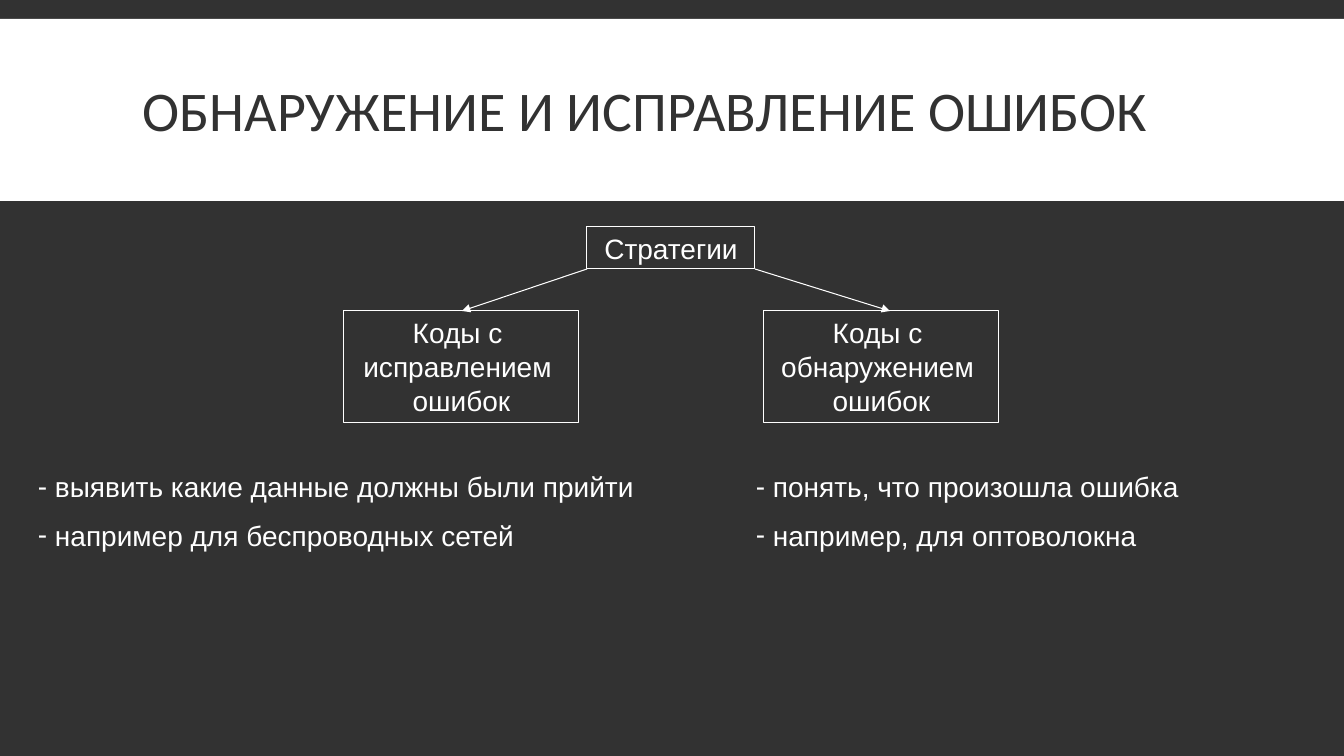
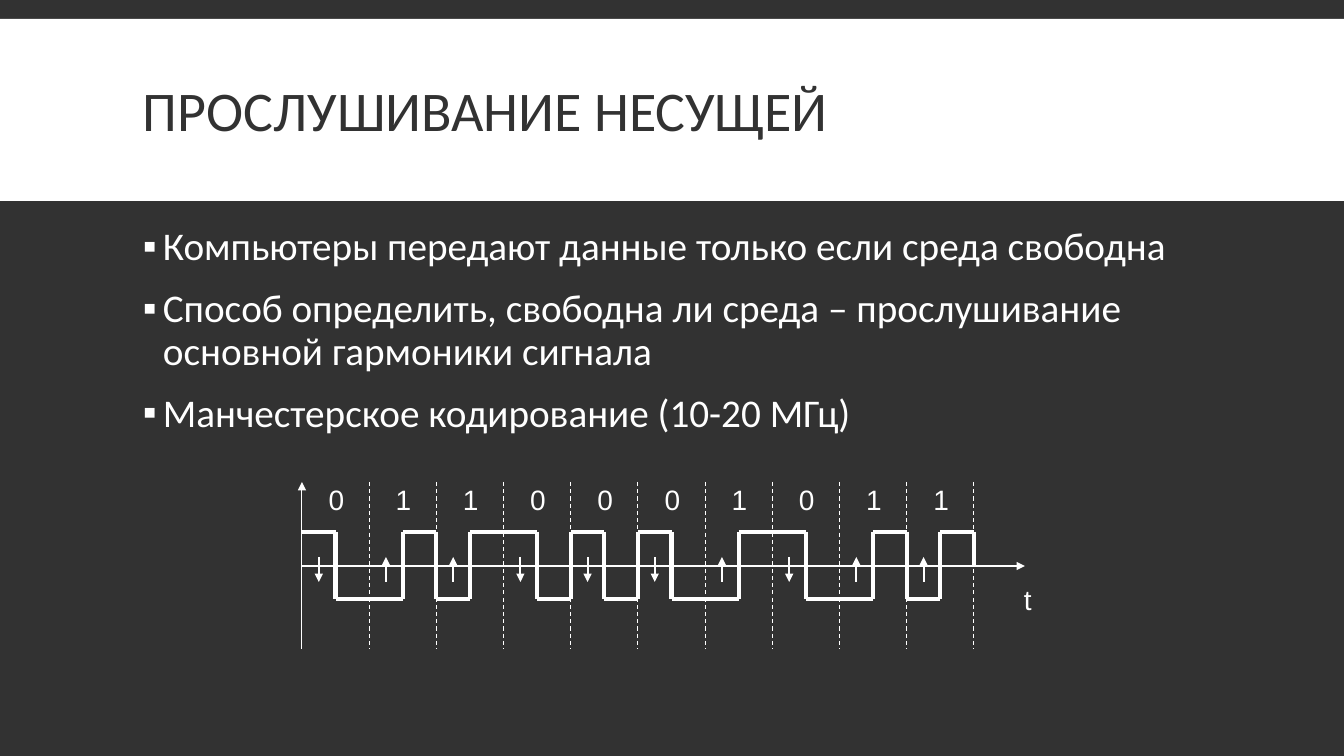
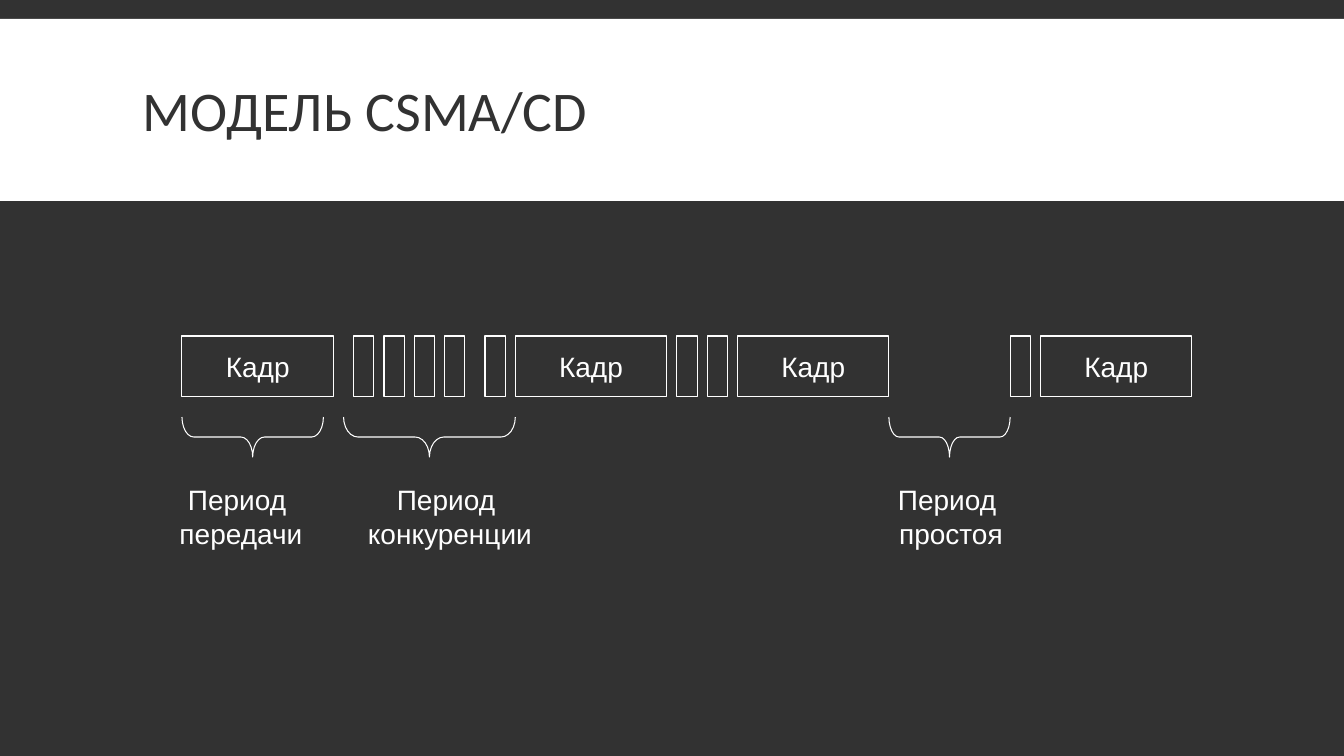
from itertools import pairwise

from lxml.etree import SubElement
from pptx import Presentation
from pptx.dml.color import RGBColor
from pptx.enum.dml import MSO_LINE
from pptx.enum.shapes import MSO_CONNECTOR, MSO_SHAPE
from pptx.enum.text import MSO_ANCHOR, PP_ALIGN
from pptx.oxml.ns import qn
from pptx.util import Emu, Pt

# Shared style
PX = 914400 / 100.8
WIDTH, HEIGHT = 1344, 756
DARK, WHITE = "323232", "FFFFFF"
BAND = (0, 19, WIDTH, 182)
TITLE_AREA = (133, 31, 1079, 166)
HEADING_FONT, DIAGRAM_FONT = "Calibri", "Arial"

# Slide 1: strategies, boxes as text, area, anchor
STRATEGIES_TITLE = "ОБНАРУЖЕНИЕ И ИСПРАВЛЕНИЕ ОШИБОК"
STRATEGY_BOXES = [
    ("Стратегии", (587, 227, 168, 42), MSO_ANCHOR.MIDDLE),
    ("Коды с \vисправлением \vошибок", (344, 311, 235, 112), MSO_ANCHOR.TOP),
    ("Коды с \vобнаружением \vошибок", (764, 311, 235, 112), MSO_ANCHOR.TOP),
]
STRATEGY_ARROWS = [((587, 269), (462, 311)), ((755, 269), (890, 311))]
STRATEGY_NOTES = [
    ([" выявить какие данные должны были прийти",
      " например для беспроводных сетей"], (28, 465, 644, 95)),
    ([" понять, что произошла ошибка",
      " например, для оптоволокна"], (746, 465, 466, 95)),
]

# Slide 2: carrier sensing
CARRIER_TITLE = "ПРОСЛУШИВАНИЕ НЕСУЩЕЙ"
CARRIER_POINTS = [
    "Компьютеры передают данные только если среда свободна",
    "Способ определить, свободна ли среда – прослушивание основной гармоники сигнала",
    "Манчестерское кодирование (10-20 МГц)",
]
POINTS_AREA = (133, 222, 1079, 464)
BITS = "0110001011"
SIGNAL_LEFT, SIGNAL_WIDTH = 302, 672
GRID_TOP, GRID_BOTTOM = 482, 649
HIGH, ZERO, LOW = 532, 566, 599
TIME_AXIS_END = 1025
DIGIT_TOP, DIGIT_WIDTH, DIGIT_HEIGHT = 478, 34, 40
EDGE_ARROW_TOP, EDGE_ARROW_BOTTOM = 557, 582

# Slide 3: CSMA/CD timeline, positions in hundredths of its width
CSMA_TITLE = "МОДЕЛЬ CSMA/CD"
TIMELINE_LEFT, TIMELINE_WIDTH = 182, 1010
ROW_TOP, ROW_HEIGHT = 336, 61
FRAME_SPAN, FRAME_STARTS = 15, [0, 33, 55, 85]
SLOT_SPAN, SLOT_STARTS = 2, [17, 20, 23, 26, 30, 49, 52, 82]
BRACE_TOP, BRACE_DEPTH = 417, 40
PERIOD_TOP, PERIOD_HEIGHT = 478, 94
# start, end, caption, caption left, caption width
PERIODS = [
    (0, 14, "Период \nпередачи", 152, 178),
    (16, 33, "Период \nконкуренции", 334, 232),
    (70, 82, "Период \nпростоя", 872, 158),
]


def px(length):
    return Emu(round(length * PX))


def color(hex_code):
    return RGBColor.from_string(hex_code)


def write(shape, text, size=20, font=DIAGRAM_FONT, ink=WHITE, align=PP_ALIGN.LEFT,
          anchor=MSO_ANCHOR.TOP, wrap=True, line=None, before=None, after=None):
    frame = shape.text_frame
    frame.text = text
    frame.word_wrap = wrap
    frame.vertical_anchor = anchor
    for paragraph in frame.paragraphs:
        paragraph.alignment = align
        paragraph.line_spacing = line
        paragraph.space_before = before
        paragraph.space_after = after
        for run in paragraph.runs:
            run.font.size = Pt(size)
            run.font.name = font
            run.font.color.rgb = color(ink)
    return shape


def add_label(slide, text, area, **style):
    return write(slide.shapes.add_textbox(*map(px, area)), text, **style)


def add_bullets(shape, char, indent=0):
    for paragraph in shape.text_frame.paragraphs:
        props = paragraph._p.get_or_add_pPr()
        props.set("marL", str(px(indent)))
        props.set("indent", str(-px(indent)))
        bullet_color = SubElement(props, qn("a:buClr"))
        SubElement(bullet_color, qn("a:srgbClr"), val=WHITE)
        SubElement(props, qn("a:buFont"), typeface=DIAGRAM_FONT)
        SubElement(props, qn("a:buChar"), char=char)


def add_outline(slide, area, kind=MSO_SHAPE.RECTANGLE):
    shape = slide.shapes.add_shape(kind, *map(px, area))
    shape.shadow.inherit = False
    shape.fill.background()
    shape.line.color.rgb = color(WHITE)
    shape.line.width = Pt(0.75)
    return shape


def add_line(slide, start, end, weight=0.75, dashed=False, arrow=False):
    line = slide.shapes.add_connector(MSO_CONNECTOR.STRAIGHT, *map(px, start + end))
    line.line.color.rgb = color(WHITE)
    line.line.width = Pt(weight)
    if dashed:
        line.line.dash_style = MSO_LINE.DASH
    props = line.element.spPr
    if arrow:
        SubElement(props.find(qn("a:ln")), qn("a:tailEnd"), type="triangle")
    SubElement(props, qn("a:effectLst"))


def add_titled_slide(deck, title):
    slide = deck.slides.add_slide(deck.slide_layouts[6])
    band = add_outline(slide, BAND)
    band.fill.solid()
    band.fill.fore_color.rgb = color(WHITE)
    band.line.fill.background()
    add_label(slide, title, TITLE_AREA, size=40, font=HEADING_FONT, ink=DARK,
              anchor=MSO_ANCHOR.MIDDLE, line=0.85)
    return slide


def build_strategies(deck):
    slide = add_titled_slide(deck, STRATEGIES_TITLE)
    for text, area, anchor in STRATEGY_BOXES:
        write(add_outline(slide, area), text, align=PP_ALIGN.CENTER, anchor=anchor,
              wrap=anchor == MSO_ANCHOR.TOP)
    for start, end in STRATEGY_ARROWS:
        add_line(slide, start, end, arrow=True)
    for notes, area in STRATEGY_NOTES:
        add_bullets(add_label(slide, "\n".join(notes), area, before=Pt(10.5)), "-")


def build_carrier(deck):
    slide = add_titled_slide(deck, CARRIER_TITLE)
    points = add_label(slide, "\n".join(CARRIER_POINTS), POINTS_AREA, size=28,
                       font=HEADING_FONT, line=0.9, before=Pt(12), after=Pt(2))
    add_bullets(points, "▪", indent=20)

    # Axes
    add_line(slide, (SIGNAL_LEFT, GRID_BOTTOM), (SIGNAL_LEFT, GRID_TOP), arrow=True)
    add_line(slide, (SIGNAL_LEFT, ZERO), (TIME_AXIS_END, ZERO), arrow=True)
    add_label(slide, "t", (1014, 578, 27, 40), wrap=False)

    # Bit cells: boundary, digit, direction of the edge
    bit_width = SIGNAL_WIDTH / len(BITS)
    levels = []
    for index, bit in enumerate(BITS):
        left = SIGNAL_LEFT + index * bit_width
        right, middle = left + bit_width, left + bit_width / 2
        add_line(slide, (right, GRID_TOP), (right, GRID_BOTTOM), dashed=True)
        add_label(slide, bit, (middle - DIGIT_WIDTH / 2, DIGIT_TOP, DIGIT_WIDTH, DIGIT_HEIGHT),
                  wrap=False)
        arrow_x = left + bit_width / 4
        ends = [(arrow_x, EDGE_ARROW_TOP), (arrow_x, EDGE_ARROW_BOTTOM)]
        if bit == "1":
            ends.reverse()
        add_line(slide, *ends, weight=1.5, arrow=True)
        levels += [LOW, HIGH] if bit == "1" else [HIGH, LOW]

    # Manchester waveform
    half = bit_width / 2
    for index, (level, following) in enumerate(pairwise(levels + [ZERO])):
        left = SIGNAL_LEFT + index * half
        right = left + half
        add_line(slide, (left, level), (right, level), weight=3)
        if level != following:
            add_line(slide, (right, level), (right, following), weight=3)


def build_csma(deck):
    slide = add_titled_slide(deck, CSMA_TITLE)
    unit = TIMELINE_WIDTH / 100

    def row_area(start, span):
        return TIMELINE_LEFT + start * unit, ROW_TOP, span * unit, ROW_HEIGHT

    for start in FRAME_STARTS:
        write(add_outline(slide, row_area(start, FRAME_SPAN)), "Кадр",
              align=PP_ALIGN.CENTER, anchor=MSO_ANCHOR.MIDDLE, wrap=False)
    for start in SLOT_STARTS:
        add_outline(slide, row_area(start, SLOT_SPAN))

    # A left brace turned to point down swaps its width and height
    for start, end, caption, left, width in PERIODS:
        span = (end - start) * unit
        center_x = TIMELINE_LEFT + (start + end) / 2 * unit
        center_y = BRACE_TOP + BRACE_DEPTH / 2
        brace = add_outline(slide, (center_x - BRACE_DEPTH / 2, center_y - span / 2,
                                    BRACE_DEPTH, span), MSO_SHAPE.LEFT_BRACE)
        brace.adjustments[0] = span / BRACE_DEPTH / 12
        brace.rotation = 270
        add_label(slide, caption, (left, PERIOD_TOP, width, PERIOD_HEIGHT),
                  align=PP_ALIGN.CENTER)


def main():
    deck = Presentation()
    deck.slide_width, deck.slide_height = px(WIDTH), px(HEIGHT)
    background = deck.slide_master.background.fill
    background.solid()
    background.fore_color.rgb = color(DARK)
    build_strategies(deck)
    build_carrier(deck)
    build_csma(deck)
    deck.save("out.pptx")


if __name__ == "__main__":
    main()
